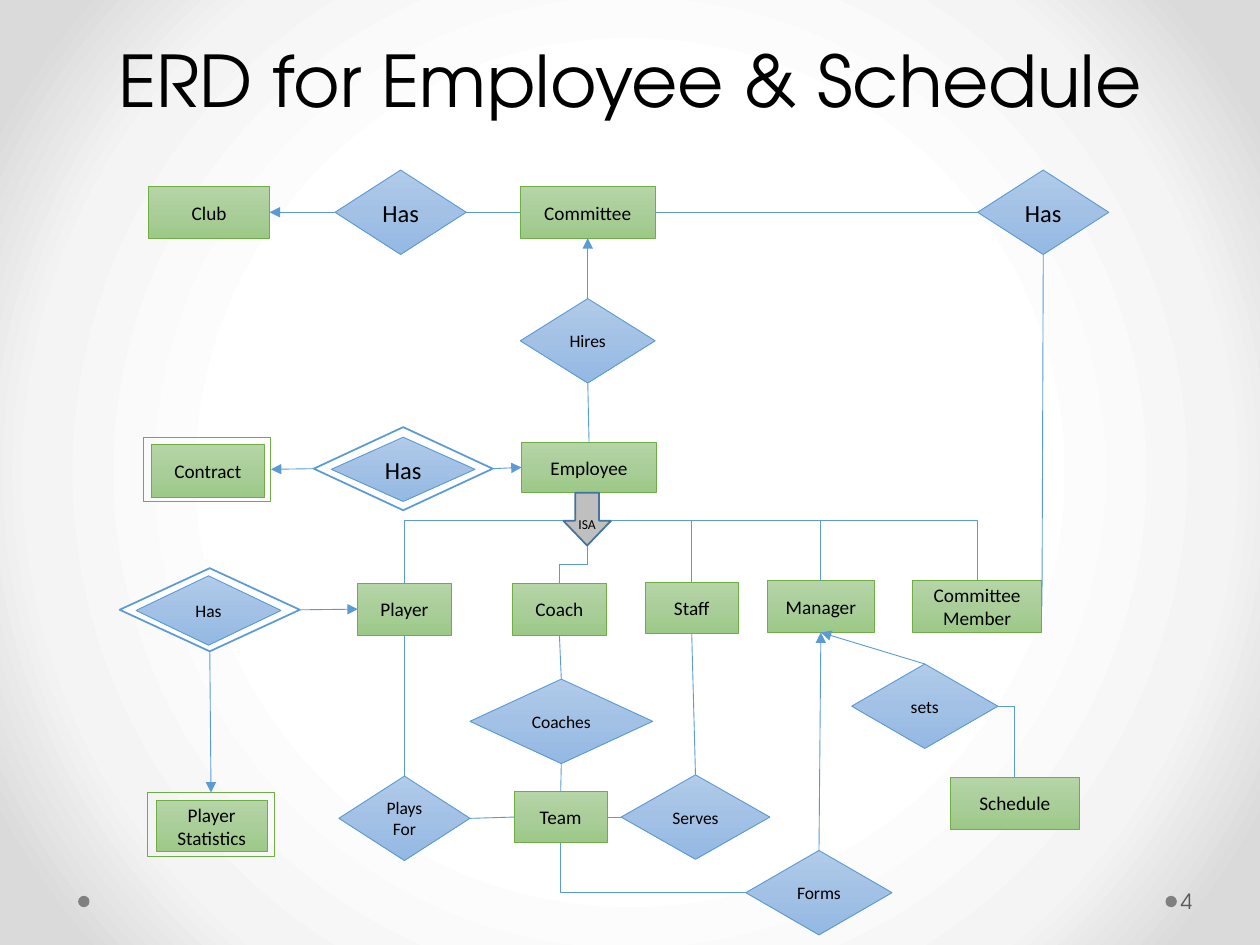
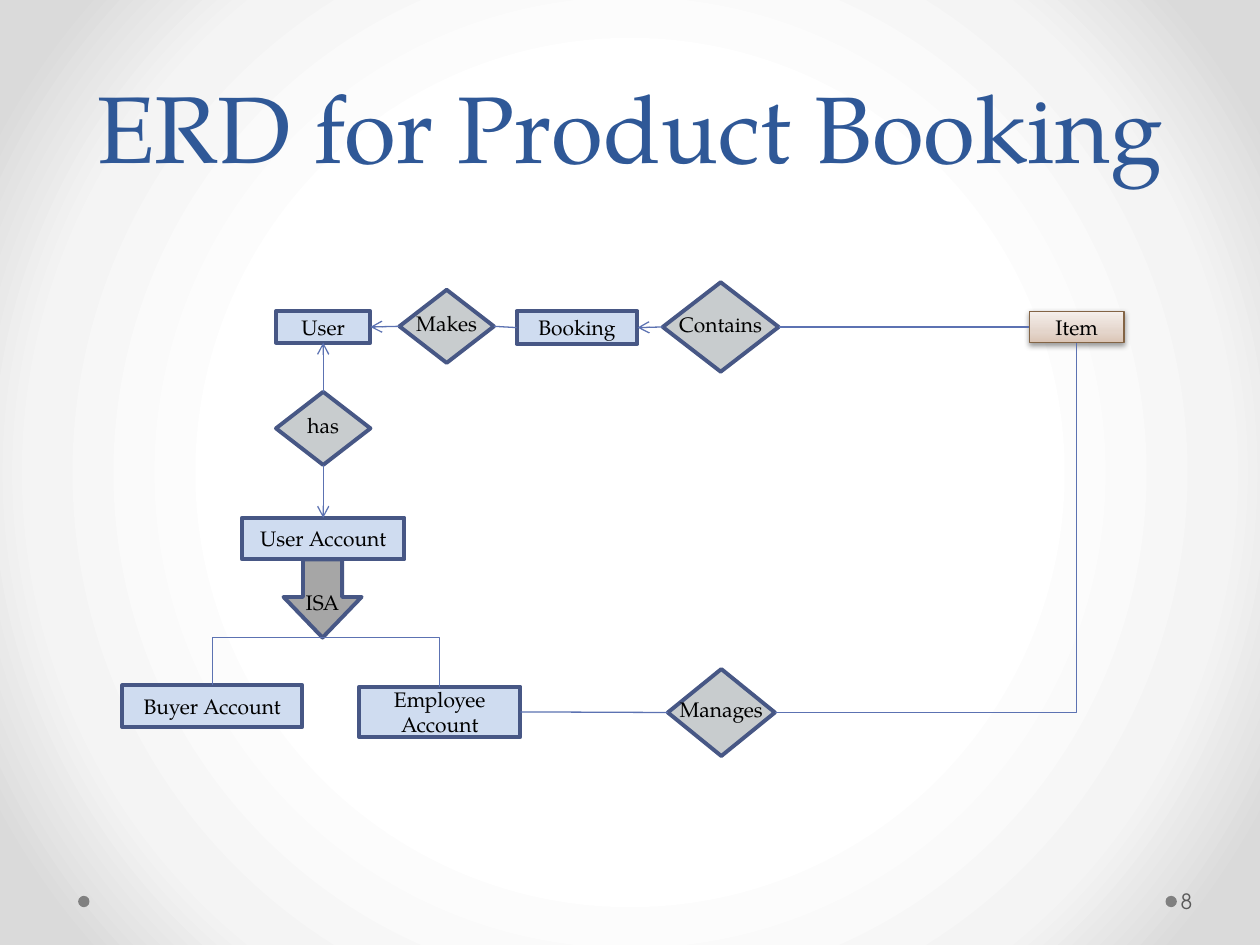
import pptx
import pptx.util
from pptx.dml.color import RGBColor
from pptx.enum.shapes import MSO_CONNECTOR, MSO_SHAPE
from pptx.enum.text import MSO_ANCHOR, PP_ALIGN
from pptx.oxml.ns import qn
from lxml import etree

PX = 9144  # 100 px to the inch

BLACK = RGBColor(0x00, 0x00, 0x00)
WHITE = RGBColor(0xFF, 0xFF, 0xFF)
GREY_DOT = RGBColor(0x80, 0x80, 0x80)
GREY_NUMBER = RGBColor(0x59, 0x59, 0x59)
TITLE_BLUE = RGBColor(0x2F, 0x58, 0x97)
GREEN_LINE = RGBColor(0x70, 0xAD, 0x47)
BLUE_LINE = RGBColor(0x5B, 0x9B, 0xD5)
ISA_GREY = RGBColor(0xBF, 0xBF, 0xBF)
ISA_LINE = RGBColor(0x43, 0x73, 0x9E)
PALE_BLUE = RGBColor(0xCF, 0xDC, 0xF0)
SILVER = RGBColor(0xC8, 0xCC, 0xCE)
DARK_GREY = RGBColor(0xA6, 0xA6, 0xA6)
NAVY_LINE = RGBColor(0x47, 0x57, 0x85)
BROWN_LINE = RGBColor(0x83, 0x64, 0x45)
LINK_BLUE = RGBColor(0x5C, 0x72, 0xB2)

BACKDROP = [(50, "FFFFFF"), (76, "F4F4F4"), (92, "DADADA")]
GREEN = [(0, "B5D5A7"), (50, "AACE9A"), (100, "9CC987")]
BLUE = [(0, "B1CBE9"), (50, "A3C1E5"), (100, "93B9E4")]
BEIGE = [(0, "F5EFEB"), (65, "E4D5CB"), (100, "DAC4B4")]

SANS, TITLE_SANS, SERIF = "Calibri", "TeX Gyre Adventor", "TeX Gyre Pagella"

# left, top, right, bottom insets
STANDARD, RAISED = (10, 5, 10, 5), (10, 5, 10, 10)

# kind: (outline, fill, line colour, line width, text size, insets, wrap)
EMPLOYEE_KINDS = {
    "entity": (MSO_SHAPE.RECTANGLE, GREEN, GREEN_LINE, 0.5, 11, STANDARD, True),
    "entity frame": (MSO_SHAPE.RECTANGLE, None, GREEN_LINE, 0.5, 11, STANDARD, True),
    "relation": (MSO_SHAPE.FLOWCHART_DECISION, BLUE, BLUE_LINE, 0.5, 10, STANDARD, True),
    "big relation": (MSO_SHAPE.FLOWCHART_DECISION, BLUE, BLUE_LINE, 0.5, 14, STANDARD, True),
    "relation frame": (MSO_SHAPE.FLOWCHART_DECISION, WHITE, BLUE_LINE, 1, 10, STANDARD, True),
    "isa": (MSO_SHAPE.DOWN_ARROW, ISA_GREY, ISA_LINE, 1, 7.8, (10, 18, 10, 0), False),
}
BOOKING_KINDS = {
    "entity": (MSO_SHAPE.RECTANGLE, PALE_BLUE, NAVY_LINE, 2.25, 12, STANDARD, True),
    "item": (MSO_SHAPE.RECTANGLE, BEIGE, BROWN_LINE, 0.75, 12, STANDARD, True),
    "relation": (MSO_SHAPE.DIAMOND, SILVER, NAVY_LINE, 2.25, 12, RAISED, False),
    "isa": (MSO_SHAPE.DOWN_ARROW, DARK_GREY, NAVY_LINE, 2.25, 12, (10, 22, 10, 0), False),
}

# Nodes: key: (kind, label, left, top, width, height)
# Links: (from, side, to, side, route), where route is "line", "arrow", "corner" or "step"
DIAGRAMS = [
    {
        "title": ("ERD for Employee & Schedule", 0, 40.7, TITLE_SANS, BLACK, MSO_ANCHOR.MIDDLE, None),
        "number": "4", "font": SANS, "kinds": EMPLOYEE_KINDS,
        "link": (BLUE_LINE, 0.5, "triangle"),
        "nodes": {
            "club": ("entity", "Club", 118, 148, 96, 41),
            "club has": ("big relation", "Has", 266, 135, 104, 67),
            "committee": ("entity", "Committee", 413, 148, 107, 41),
            "member has": ("big relation", "Has", 776, 135, 104, 67),
            "hires": ("relation", "Hires", 413, 237, 107, 67),
            "employee": ("entity", "Employee", 414, 351, 107, 40),
            "isa": ("isa", "ISA", 447, 391, 38, 42),
            "contract frame": ("entity frame", "", 114, 347, 101, 51),
            "contract": ("entity", "Contract", 120, 353, 90, 42),
            "contract has frame": ("relation frame", "", 249, 339, 142, 66),
            "contract has": ("big relation", "Has", 263, 347, 114, 51),
            "player": ("entity", "Player", 284, 463, 74, 41),
            "coach": ("entity", "Coach", 407, 463, 74, 41),
            "staff": ("entity", "Staff", 512, 462, 74, 41),
            "manager": ("entity", "Manager", 609, 461, 85, 41),
            "member": ("entity", "Committee\nMember", 724, 461, 103, 41),
            "statistics has frame": ("relation frame", "", 95, 451, 143, 66),
            "statistics has": ("relation", "Has", 108, 457, 115, 55),
            "statistics frame": ("entity frame", "", 117, 629, 101, 51),
            "statistics": ("entity", "Player\nStatistics", 124, 635, 88, 41),
            "coaches": ("relation", "Coaches", 373, 539, 145, 67),
            "plays for": ("relation", "Plays For", 269, 616, 104, 67),
            "team": ("entity", "Team", 408, 628, 74, 41),
            "serves": ("relation", "Serves", 493, 615, 118, 67),
            "forms": ("relation", "Forms", 592, 675, 116, 67),
            "sets": ("relation", "sets", 676, 527, 116, 67),
            "schedule": ("entity", "Schedule", 754, 617, 103, 41),
        },
        "links": [
            ("club has", "right", "committee", "left", "line"),
            ("club has", "left", "club", "right", "arrow"),
            ("committee", "right", "member has", "left", "line"),
            ("member has", "bottom", "member", "right", "line"),
            ("hires", "top", "committee", "bottom", "arrow"),
            ("hires", "bottom", "employee", "top", "line"),
            ("contract has frame", "right", "employee", "left", "arrow"),
            ("contract has frame", "left", "contract frame", "right", "arrow"),
            ("isa", "left", "player", "top", "corner"),
            ("isa", "bottom", "coach", "top", "step"),
            ("isa", "right", "staff", "top", "corner"),
            ("isa", "right", "manager", "top", "corner"),
            ("isa", "right", "member", "top", "corner"),
            ("statistics has frame", "right", "player", "left", "arrow"),
            ("statistics has frame", "bottom", "statistics frame", "top", "arrow"),
            ("player", "bottom", "plays for", "top", "line"),
            ("plays for", "right", "team", "left", "line"),
            ("coach", "bottom", "coaches", "top", "line"),
            ("coaches", "bottom", "team", "top", "line"),
            ("staff", "bottom", "serves", "top", "line"),
            ("serves", "left", "team", "right", "line"),
            ("forms", "left", "team", "bottom", "corner"),
            ("forms", "top", "manager", "bottom", "arrow"),
            ("sets", "top", "manager", "bottom", "arrow"),
            ("sets", "right", "schedule", "top", "corner"),
        ],
    },
    {
        "title": ("ERD for Product Booking", 25, 54, SERIF, TITLE_BLUE, MSO_ANCHOR.BOTTOM, 58),
        "number": "8", "font": SERIF, "kinds": BOOKING_KINDS,
        "link": (LINK_BLUE, 0.75, "arrow"),
        "nodes": {
            "user": ("entity", "User", 219, 247, 75, 25),
            "makes": ("relation", "Makes", 317, 230, 75, 58),
            "booking": ("entity", "Booking", 410, 247, 96, 26),
            "contains": ("relation", "Contains", 526, 224, 92, 71),
            "item": ("item", "Item", 817, 247, 75, 25),
            "has": ("relation", "has", 219, 311, 75, 58),
            "account": ("entity", "User Account", 192, 411, 129, 33),
            "isa": ("isa", "ISA", 225, 444, 62, 62),
            "buyer": ("entity", "Buyer Account", 97, 544, 143, 33),
            "employee": ("entity", "Employee Account", 285, 545, 128, 40),
            "manages": ("relation", "Manages", 530, 531, 85, 69),
        },
        "links": [
            ("makes", "left", "user", "right", "arrow"),
            ("makes", "right", "booking", "left", "line"),
            ("contains", "left", "booking", "right", "arrow"),
            ("contains", "right", "item", "left", "line"),
            ("has", "top", "user", "bottom", "arrow"),
            ("has", "bottom", "account", "top", "arrow"),
            ("isa", "bottom", "buyer", "top", "corner"),
            ("isa", "bottom", "employee", "top", "corner"),
            ("employee", "right", "manages", "left", "line"),
            ("manages", "right", "item", "bottom", "corner"),
        ],
    },
]

ARROW_HEAD = 0.52  # head length of an ISA arrow, as a share of its width


def px(*lengths):
    return [pptx.util.Emu(round(length * PX)) for length in lengths]


def add(parent, tag, **attributes):
    child = etree.SubElement(parent, qn(tag))
    for name, value in attributes.items():
        child.set(name, str(value))
    return child


def set_gradient(owner, fill, stops, radial=False):
    """Fill from top to bottom, or from the centre outwards."""
    fill.gradient()
    gradient = owner.element.find(".//" + qn("a:gradFill"))
    for child in list(gradient):
        gradient.remove(child)
    stop_list = add(gradient, "a:gsLst")
    for position, colour in stops:
        add(add(stop_list, "a:gs", pos=position * 1000), "a:srgbClr", val=colour)
    if radial:
        centre = add(gradient, "a:path", path="circle")
        add(centre, "a:fillToRect", l=50000, t=50000, r=50000, b=50000)
    else:
        add(gradient, "a:lin", ang=5400000, scaled=0)


def write(frame, text, font, size, colour, align, anchor, insets=STANDARD, wrap=True):
    frame.text = text
    frame.word_wrap = wrap
    frame.vertical_anchor = anchor
    frame.margin_left, frame.margin_top, frame.margin_right, frame.margin_bottom = px(*insets)
    for paragraph in frame.paragraphs:
        paragraph.alignment = align
        for run in paragraph.runs:
            run.font.name, run.font.size = font, pptx.util.Pt(size)
            run.font.color.rgb = colour


def add_item_shadow(shape):
    effects = shape.element.spPr.find(qn("a:effectLst"))
    shadow = add(effects, "a:outerShdw", blurRad=40000, dist=20000, dir=5400000, rotWithShape=0)
    add(add(shadow, "a:srgbClr", val="000000"), "a:alpha", val=38000)


def add_node(slide, kinds, font, kind, label, *box):
    outline, fill, line, width, size, insets, wrap = kinds[kind]
    node = slide.shapes.add_shape(outline, *px(*box))
    node.shadow.inherit = False
    if fill is None:
        node.fill.background()
    elif isinstance(fill, RGBColor):
        node.fill.solid()
        node.fill.fore_color.rgb = fill
    else:
        set_gradient(node, node.fill, fill)
    node.line.color.rgb, node.line.width = line, pptx.util.Pt(width)
    if kind == "isa":
        node.adjustments[1] = ARROW_HEAD
    if kind == "item":
        add_item_shadow(node)
    if label:
        write(node.text_frame, label, font, size, BLACK, PP_ALIGN.CENTER,
              MSO_ANCHOR.MIDDLE, insets, wrap)


def side_point(node, side):
    """Middle of a side; an ISA arrow is met where its head begins."""
    kind, _, left, top, width, height = node
    middle = top + height / 2
    if kind == "isa":
        middle = top + height - ARROW_HEAD * width
    return {"left": (left, middle), "right": (left + width, middle),
            "top": (left + width / 2, top), "bottom": (left + width / 2, top + height)}[side]


def add_link(slide, style, start, end, route):
    colour, width, head = style
    straight = route in ("line", "arrow")
    if route == "step":  # a level step, turned by a quarter to run downwards
        (x1, y1), (x2, y2) = start, end
        centre_x, centre_y = (x1 + x2) / 2, (y1 + y2) / 2
        half_run, half_rise = (y2 - y1) / 2, (x1 - x2) / 2
        start = centre_x - half_run, centre_y - half_rise
        end = centre_x + half_run, centre_y + half_rise
    link = slide.shapes.add_connector(
        MSO_CONNECTOR.STRAIGHT if straight else MSO_CONNECTOR.ELBOW, *px(*start, *end))
    link.line.color.rgb, link.line.width = colour, pptx.util.Pt(width)
    properties = link.element.spPr
    if route == "step":
        properties.find(qn("a:xfrm")).set("rot", "5400000")
    if route == "corner":
        properties.find(qn("a:prstGeom")).set("prst", "bentConnector2")
    if route == "arrow":
        add(properties.find(qn("a:ln")), "a:tailEnd", type=head)
    add(properties, "a:effectLst")


def add_title(slide, text, top, size, font, colour, anchor, line_spacing):
    title = slide.shapes.add_textbox(*px(50, top, 900, 125)).text_frame
    write(title, text, font, size, colour, PP_ALIGN.CENTER, anchor)
    if line_spacing:
        title.paragraphs[0].line_spacing = pptx.util.Pt(line_spacing)


def add_footer(slide, number):
    for left in (925, 62):
        dot = slide.shapes.add_shape(MSO_SHAPE.OVAL, *px(left, 711, 9, 9))
        dot.shadow.inherit = False
        dot.fill.solid()
        dot.fill.fore_color.rgb = GREY_DOT
        dot.line.fill.background()
    page = slide.shapes.add_textbox(*px(934, 695, 61, 40))
    write(page.text_frame, number, TITLE_SANS, 12, GREY_NUMBER, PP_ALIGN.LEFT,
          MSO_ANCHOR.MIDDLE, (3, 5, 5, 5))


def main():
    deck = pptx.Presentation()
    deck.slide_width, deck.slide_height = px(1000, 750)
    set_gradient(deck.slide_master, deck.slide_master.background.fill, BACKDROP, radial=True)
    for diagram in DIAGRAMS:
        slide = deck.slides.add_slide(deck.slide_layouts[6])
        nodes = diagram["nodes"]
        add_footer(slide, diagram["number"])
        add_title(slide, *diagram["title"])
        for node in nodes.values():
            add_node(slide, diagram["kinds"], diagram["font"], *node)
        for origin, origin_side, target, target_side, route in diagram["links"]:
            add_link(slide, diagram["link"], side_point(nodes[origin], origin_side),
                     side_point(nodes[target], target_side), route)
    deck.save("out.pptx")


if __name__ == "__main__":
    main()
